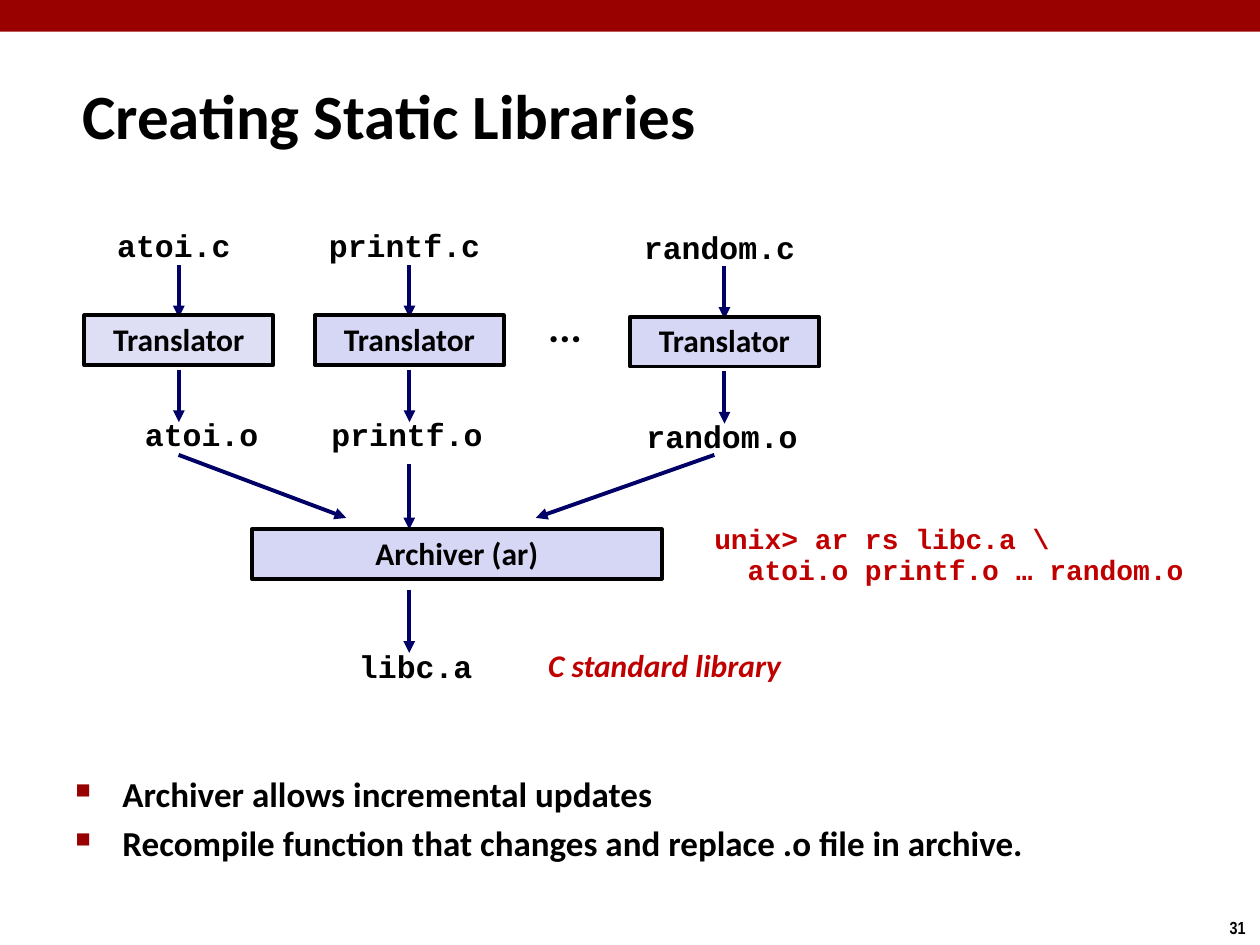
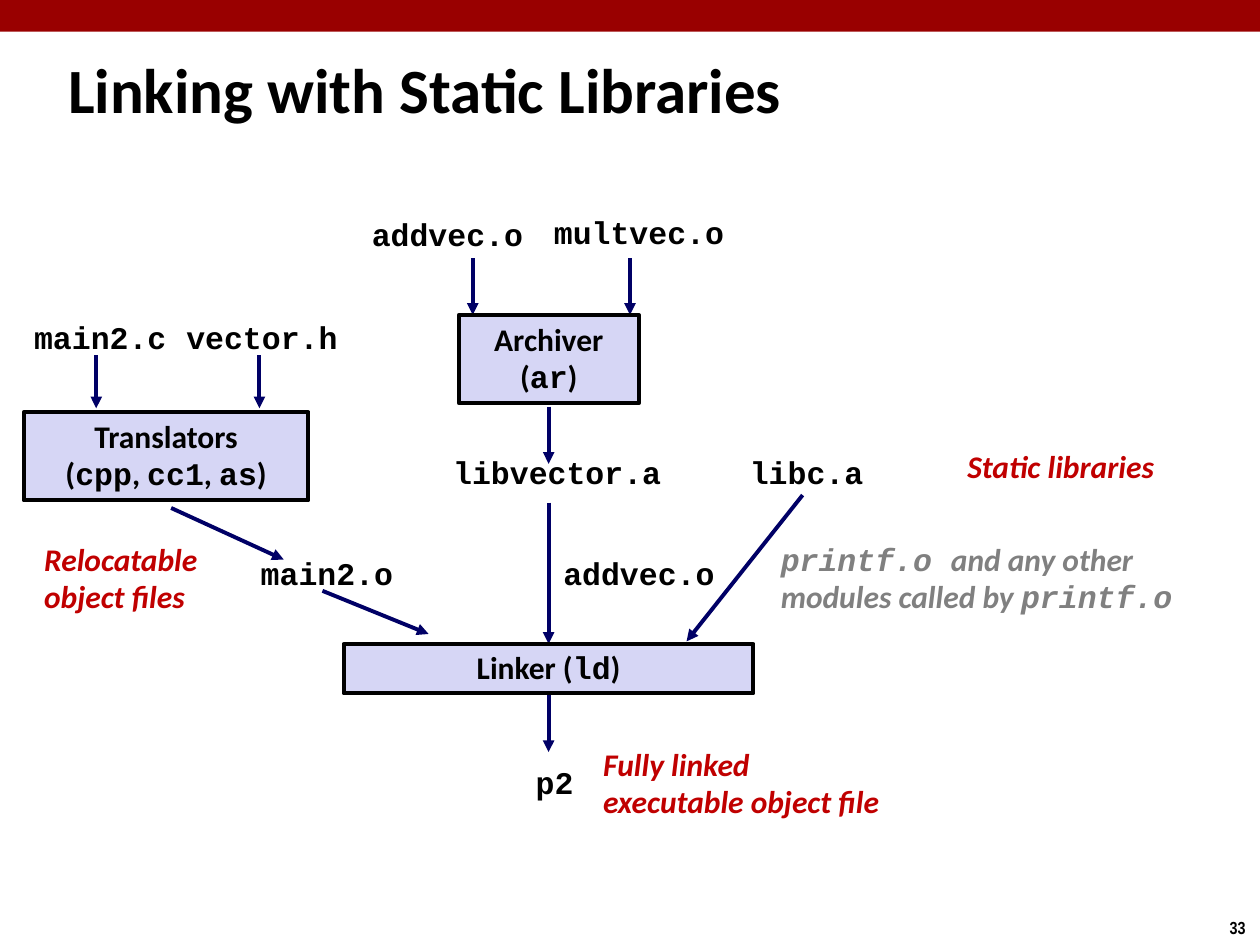
from dataclasses import dataclass

from lxml import etree
from pptx import Presentation
from pptx.dml.color import RGBColor
from pptx.enum import shapes, text
from pptx.oxml.ns import qn
from pptx.util import Cm, Pt


@dataclass(frozen=True)
class Theme:
    band: str = "990000"
    ink: str = "000000"
    note: str = "C00000"
    faint: str = "808080"
    arrow: str = "000066"
    fill: str = "D6D6F5"
    pale: str = "DEDFF5"
    sans: str = "Calibri"
    mono: str = "Courier New"
    narrow: str = "Arial Narrow"
    title: int = 36
    dots: int = 24
    list: int = 20
    body: int = 18
    shell: int = 16
    page: int = 10
    stroke: float = 2.25
    tight: float = 0.94  # line spacing of code
    lead: float = 0.98  # line spacing of other text


T = Theme()
ALIGN = text.PP_ALIGN
CHAR = 0.381  # width of one code character at body size, in cm
PAD = 0.508  # left and right insets together
ROW = 1.0  # height of a one-line box
TALL = 1.78  # height of a two-line box
WIDE = 8.26


def rgb(code):
    return RGBColor.from_string(code)


# Text: pieces between backticks are set in the code font
def write(frame, lines, size=T.body, color=T.ink, font=T.sans,
          italic=False, align=ALIGN.LEFT, space=T.lead):
    frame.text = "\n".join(line.replace("`", "") for line in lines)
    for para, line in zip(frame.paragraphs, lines):
        para.alignment = align
        para.line_spacing = space
        if "`" in line:
            para.clear()
            for part in line.split("`"):
                para.add_run().text = part
        for num, run in enumerate(para.runs):
            run.font.name = T.mono if num % 2 else font
            run.font.size = Pt(size)
            run.font.bold = True
            run.font.italic = italic
            run.font.color.rgb = rgb(color)


def label(slide, x, y, w, h, lines, wrap=False, **style):
    box = slide.shapes.add_textbox(Cm(x), Cm(y), Cm(w), Cm(h))
    box.text_frame.word_wrap = wrap
    write(box.text_frame, lines, **style)
    return box


def code(slide, mid, y, name):
    w = CHAR * len(name) + PAD
    label(slide, mid - w / 2, y, w, ROW, [name], font=T.mono,
          align=ALIGN.CENTER, space=T.tight)


def note(slide, x, y, w, lines, color=T.note):
    label(slide, x, y, w, ROW if len(lines) == 1 else TALL, lines,
          wrap=True, color=color, italic=True)


# Shapes
def block(slide, x, y, w, h, fill, line=None):
    shape = slide.shapes.add_shape(
        shapes.MSO_SHAPE.RECTANGLE, Cm(x), Cm(y), Cm(w), Cm(h))
    shape.shadow.inherit = False
    shape.fill.solid()
    shape.fill.fore_color.rgb = rgb(fill)
    if line:
        shape.line.color.rgb = rgb(line)
        shape.line.width = Pt(T.stroke)
    else:
        shape.line.fill.background()
    return shape


def tool(slide, x, y, w, h, lines, fill=T.fill):
    shape = block(slide, x, y, w, h, fill, T.ink)
    write(shape.text_frame, lines, align=ALIGN.CENTER)


def arrow(slide, x, y, end_x, end_y):
    link = slide.shapes.add_connector(
        shapes.MSO_CONNECTOR.STRAIGHT, Cm(x), Cm(y), Cm(end_x), Cm(end_y))
    link.line.color.rgb = rgb(T.arrow)
    link.line.width = Pt(T.stroke)
    props = link.element.spPr
    etree.SubElement(props.find(qn("a:ln")), qn("a:tailEnd"), type="triangle")
    etree.SubElement(props, qn("a:effectLst"))


def drop(slide, x, y, size):
    arrow(slide, x, y, x, y + size)


# Shared frame: band, page number and title
def start(deck, name, page, x, y):
    slide = deck.slides.add_slide(deck.slide_layouts[5])
    block(slide, 0, 0, 25.4, 0.64, T.band)
    label(slide, 24.54, 18.36, 0.86, 0.69, [page], size=T.page,
          font=T.narrow, space=1.0)
    head = slide.shapes.title
    head.left, head.top, head.width, head.height = map(Cm, (x, y, 24.2, 2.18))
    frame = head.text_frame
    frame.auto_size = text.MSO_AUTO_SIZE.NONE
    frame.vertical_anchor = text.MSO_ANCHOR.MIDDLE
    write(frame, [name], size=T.title, space=1.0)
    return slide


# Creating: one source file through its translator
def column(slide, x, y, stem, shift, fill=T.fill):
    w = 3.81
    mid = x + w / 2
    drop(slide, mid, y + 0.84, 1.06)
    tool(slide, x, y + 1.86, w, ROW, ["Translator"], fill)
    drop(slide, mid, y + 2.95, 1.06)
    code(slide, mid - 0.1, y, stem + ".c")
    code(slide, mid + shift, y + 3.81, stem + ".o")


# Creating: object files into the archive
def pack(slide, x, y):
    mid = x + 4.65
    arrow(slide, x, y, x + 3.38, y + 1.27)
    arrow(slide, x + 10.8, y, x + 7.2, y + 1.27)
    drop(slide, mid, y + 0.18, 1.32)
    tool(slide, x + 1.48, y + 1.5, WIDE, ROW, ["Archiver (ar)"])
    drop(slide, mid, y + 2.72, 1.27)
    code(slide, mid + 0.13, y + 3.81, "libc.a")
    note(slide, x + 7.2, y + 3.76, WIDE, ["C standard library"])
    label(slide, x + 10.55, y + 1.27, 10.11, 1.55,
          ["unix> ar rs libc.a \\", "  atoi.o printf.o … random.o"],
          size=T.shell, color=T.note, font=T.mono, space=T.tight)


def points(slide, x, y, w, h, lines):
    box = label(slide, x, y, w, h, lines, wrap=True, size=T.list, space=1.0)
    for num, para in enumerate(box.text_frame.paragraphs):
        para.space_before = Pt(4 if num else 0)
        props = para._p.get_or_add_pPr()
        props.set("marL", str(Cm(0.95)))
        props.set("indent", str(-Cm(0.95)))
        tint = etree.SubElement(props, qn("a:buClr"))
        etree.SubElement(tint, qn("a:srgbClr"), val=T.band)
        etree.SubElement(props, qn("a:buSzPct"), val="60000")
        etree.SubElement(props, qn("a:buChar"), char="■")


# Linking: main program to a relocatable file
def build(slide, x, y):
    for name, mid, line in (("main2.c", 1.54, 1.46), ("vector.h", 4.8, 4.75)):
        code(slide, x + mid, y, name)
        drop(slide, x + line, y + 0.81, 1.07)
    tool(slide, x, y + 1.96, 5.74, TALL,
         ["Translators", "(`cpp`, `cc1`, `as`)"])
    arrow(slide, x + 2.97, y + 3.89, x + 5.24, y + 4.93)
    code(slide, x + 6.11, y + 4.75, "main2.o")
    arrow(slide, x + 6.02, y + 5.56, x + 8.16, y + 6.43)
    note(slide, x + 0.16, y + 4.45, 3.8, ["Relocatable", "object files"])


# Linking: vector modules into their library
def gather(slide, x, y):
    code(slide, x - 0.23, y, "addvec.o")
    code(slide, x + 3.63, y - 0.03, "multvec.o")
    for line in (0.28, 3.45):
        drop(slide, x + line, y + 0.94, 1.14)
    tool(slide, x, y + 2.08, 3.63, TALL, ["Archiver", "(`ar`)"])
    drop(slide, x + 1.81, y + 3.93, 1.15)
    code(slide, x + 1.98, y + 4.8, "libvector.a")


# Linking: everything into the program
def join(slide, x, y):
    mid = x + WIDE / 2
    code(slide, x + 9.33, y, "libc.a")
    drop(slide, mid, y + 1.06, 2.85)
    code(slide, x + 5.95, y + 2.03, "addvec.o")
    arrow(slide, x + 9.25, y + 0.91, x + 6.91, y + 3.86)
    tool(slide, x, y + 3.91, WIDE, ROW, ["Linker (`ld`)"])
    drop(slide, mid, y + 4.95, 1.14)
    code(slide, mid + 0.12, y + 6.25, "p2")
    note(slide, x + 12.32, y - 0.15, 4.5, ["Static libraries"])
    note(slide, x + 8.56, y + 1.73, 9,
         ["`printf.o `and any other", "modules called by `printf.o`"], T.faint)
    note(slide, x + 4.98, y + 5.87, 6.3,
         ["Fully linked", "executable object file"])


def create(deck):
    slide = start(deck, "Creating Static Libraries", "31", 1.4, 1.22)
    column(slide, 1.7, 4.5, "atoi", 0.46, T.pale)
    column(slide, 6.35, 4.5, "printf", -0.05)
    column(slide, 12.7, 4.53, "random", -0.05)
    label(slide, 10.8, 5.99, 1.22, 1.27, ["..."], size=T.dots)
    pack(slide, 3.6, 9.17)
    points(slide, 1.27, 15.44, 23.09, 2.97, [
        "Archiver allows incremental updates",
        "Recompile function that changes and replace .o file in archive."])


def link(deck):
    slide = start(deck, "Linking with Static Libraries", "33", 1.12, 0.69)
    build(slide, 0.48, 6.35)
    gather(slide, 9.25, 4.27)
    join(slide, 6.93, 9.07)


def main():
    deck = Presentation()
    deck.slide_width, deck.slide_height = Cm(25.4), Cm(19.05)
    create(deck)
    link(deck)
    deck.save("out.pptx")


if __name__ == "__main__":
    main()
